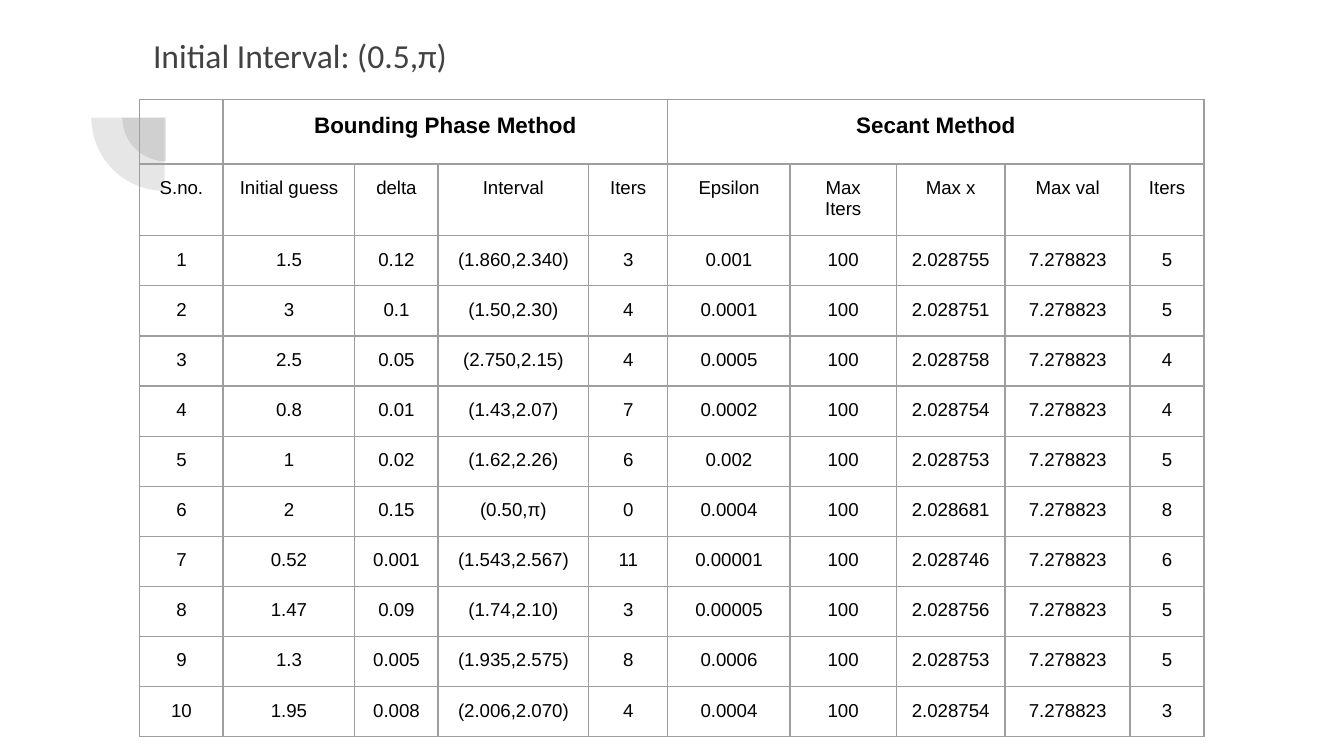
from dataclasses import dataclass

from lxml.etree import SubElement
from pptx import Presentation
from pptx.dml.color import RGBColor as Color
from pptx.enum.shapes import MSO_SHAPE as Shape
from pptx.enum.text import PP_ALIGN as Align
from pptx.oxml import parse_xml
from pptx.oxml.ns import nsdecls, qn
from pptx.slide import Slide
from pptx.table import _Cell as Cell
from pptx.util import Inches, Pt


@dataclass(frozen=True)
class Theme:
    ink: str = "000000"
    gray: str = "424242"
    rule: str = "9E9E9E"
    alpha: int = 13
    line: float = 0.75
    inset: float = 0.1
    title: int = 18
    head: int = 12
    body: int = 10
    sans: str = "Arial"
    face: str = "Calibri"


@dataclass(frozen=True)
class Pie:
    left: float
    top: float
    size: float


@dataclass(frozen=True)
class Band:
    text: str
    first: int
    last: int


THEME = Theme()
WIDTH = 10
HEIGHT = WIDTH * 9 / 16
LEFT, TOP = 1.04, 0.74
COLS = (0.62, 0.98, 0.62, 1.12, 0.59, 0.91, 0.79, 0.81, 0.93, 0.55)
PIES = (Pie(0.91, 0.55, 0.65), Pie(0.68, 0.33, 1.09))
BANDS = (Band("Bounding Phase Method", 1, 4), Band("Secant Method", 5, 9))
HEADS = ("S.no.", "Initial guess", "delta", "Interval", "Iters",
         "Epsilon", "Max\nIters", "Max x", "Max val", "Iters")
LIMIT, PEAK = "100", "7.278823"
RUNS = (
    ("1.5", "0.12", "(1.860,2.340)", "3", "0.001", "2.028755", "5"),
    ("3", "0.1", "(1.50,2.30)", "4", "0.0001", "2.028751", "5"),
    ("2.5", "0.05", "(2.750,2.15)", "4", "0.0005", "2.028758", "4"),
    ("0.8", "0.01", "(1.43,2.07)", "7", "0.0002", "2.028754", "4"),
    ("1", "0.02", "(1.62,2.26)", "6", "0.002", "2.028753", "5"),
    ("2", "0.15", "(0.50,π)", "0", "0.0004", "2.028681", "8"),
    ("0.52", "0.001", "(1.543,2.567)", "11", "0.00001", "2.028746", "6"),
    ("1.47", "0.09", "(1.74,2.10)", "3", "0.00005", "2.028756", "5"),
    ("1.3", "0.005", "(1.935,2.575)", "8", "0.0006", "2.028753", "5"),
    ("1.95", "0.008", "(2.006,2.070)", "4", "0.0004", "2.028754", "3"),
)
ROWS = (0.48, 0.52) + (3.73 / len(RUNS),) * len(RUNS)


def draw_pie(slide: Slide, pie: Pie) -> None:
    """Draw a pale quarter disc."""
    size = Inches(pie.size)
    shape = slide.shapes.add_shape(
        Shape.PIE, Inches(pie.left), Inches(pie.top), size, size)
    shape.adjustments[0], shape.adjustments[1] = 108, 162
    shape.rotation = 270
    shape.shadow.inherit = False
    shape.line.fill.background()
    shape.fill.solid()
    shape.fill.fore_color.rgb = Color.from_string(THEME.gray)
    tint = shape.fill._xPr.find(qn("a:solidFill"))[0]
    SubElement(tint, qn("a:alpha"), val=str(THEME.alpha * 1000))


def draw_title(slide: Slide, text: str) -> None:
    """Write the slide's title."""
    box = slide.shapes.add_textbox(
        Inches(LEFT), Inches(0.16), Inches(7.69), Inches(0.51))
    frame = box.text_frame
    frame.word_wrap = True
    frame.margin_left = frame.margin_right = Inches(THEME.inset)
    frame.margin_top = frame.margin_bottom = Inches(THEME.inset)
    frame.text = text
    font = frame.paragraphs[0].font
    font.name, font.size = THEME.face, Pt(THEME.title)
    font.color.rgb = Color.from_string(THEME.gray)


def fill_cell(cell: Cell, text: str, size: int, bold: bool = False) -> None:
    """Write centred text in a cell."""
    cell.text = text
    for para in cell.text_frame.paragraphs:
        para.alignment = Align.CENTER
        font = para.font
        font.name, font.size, font.bold = THEME.sans, Pt(size), bold
        font.color.rgb = Color.from_string(THEME.ink)


def style_cell(cell: Cell) -> None:
    """Clear a cell's fill, pad it and rule its four sides."""
    cell.fill.background()
    cell.margin_left = cell.margin_right = Inches(THEME.inset)
    cell.margin_top = cell.margin_bottom = Inches(THEME.inset)
    props = cell._tc.get_or_add_tcPr()
    for spot, side in enumerate("LRTB"):
        props.insert(spot, parse_xml(
            f'<a:ln{side} {nsdecls("a")} w="{Pt(THEME.line)}"><a:solidFill>'
            f'<a:srgbClr val="{THEME.rule}"/></a:solidFill></a:ln{side}>'))


def draw_table(slide: Slide) -> None:
    """Build the table of both methods' results."""
    table = slide.shapes.add_table(
        len(ROWS), len(COLS), Inches(LEFT), Inches(TOP),
        Inches(sum(COLS)), Inches(sum(ROWS))).table
    table.first_row = table.horz_banding = False
    for col, width in zip(table.columns, COLS):
        col.width = Inches(width)
    for row, height in zip(table.rows, ROWS):
        row.height = Inches(height)
    for cell in table.iter_cells():
        style_cell(cell)
    fill_cell(table.cell(0, 0), "", THEME.body)
    for band in BANDS:
        cell = table.cell(0, band.first)
        cell.merge(table.cell(0, band.last))
        fill_cell(cell, band.text, THEME.head, True)
    lines = [HEADS]
    for num, run in enumerate(RUNS, 1):
        *start, best, iters = run
        lines.append((str(num), *start, LIMIT, best, PEAK, iters))
    for row, line in enumerate(lines, 1):
        for col, text in enumerate(line):
            fill_cell(table.cell(row, col), text, THEME.body)


def main() -> None:
    """Build and save the slide."""
    deck = Presentation()
    deck.slide_width, deck.slide_height = Inches(WIDTH), Inches(HEIGHT)
    slide = deck.slides.add_slide(deck.slide_layouts[6])
    for pie in PIES:
        draw_pie(slide, pie)
    draw_title(slide, "Initial Interval: (0.5,π)")
    draw_table(slide)
    deck.save("out.pptx")


if __name__ == "__main__":
    main()
